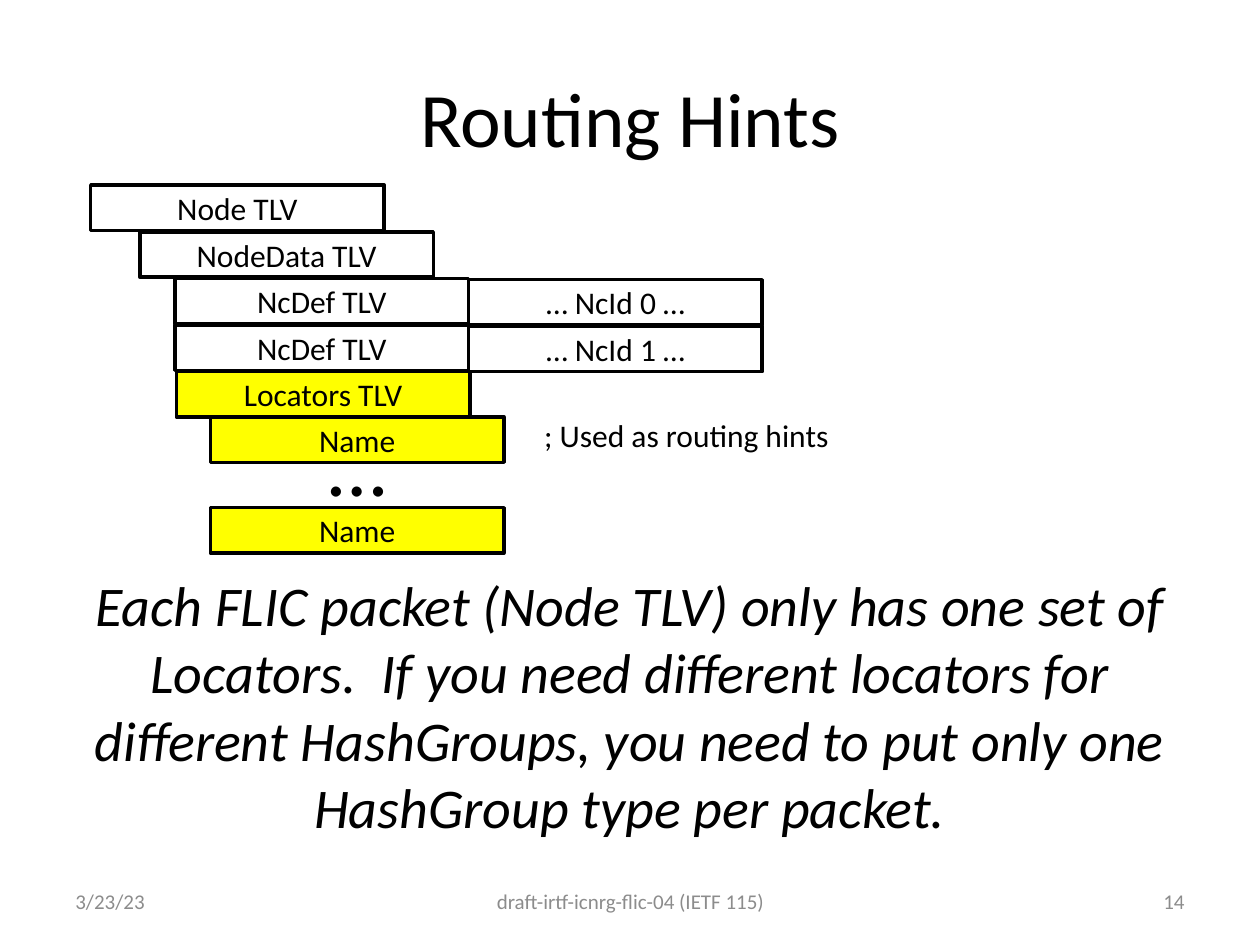
from pptx import Presentation
from pptx.dml.color import RGBColor
from pptx.enum.shapes import MSO_SHAPE
from pptx.enum.text import MSO_ANCHOR, MSO_AUTO_SIZE, PP_ALIGN
from pptx.util import Inches, Pt

RECT = MSO_SHAPE.RECTANGLE
LEFT, CENTER, RIGHT = PP_ALIGN.LEFT, PP_ALIGN.CENTER, PP_ALIGN.RIGHT
TOP, MIDDLE = MSO_ANCHOR.TOP, MSO_ANCHOR.MIDDLE
FIXED = MSO_AUTO_SIZE.NONE
COLORS = {"text": "000000", "footer": "8C8C8C", "plain": "FFFFFF", "mark": "FFFF00"}
TLV_W, TLV_H = 2.33, 0.36


def rgb(name):
    return RGBColor.from_string(COLORS[name])


def write(s, text, size, align=CENTER, anchor=MIDDLE, color="text", wrap=True, **font):
    tf = s.text_frame
    for name, value in {"auto_size": FIXED, "word_wrap": wrap, "vertical_anchor": anchor}.items():
        setattr(tf, name, value)
    p = tf.paragraphs[0]
    p.alignment = align
    r = p.add_run()
    r.text = text
    for name, value in {"name": "Calibri", "size": Pt(size), **font}.items():
        setattr(r.font, name, value)
    r.font.color.rgb = rgb(color)
    return p


def move(s, x, y, w, h):
    s.left, s.top, s.width, s.height = map(Inches, (x, y, w, h))


def add_text(slide, box, text, size, **options):
    s = slide.shapes.add_textbox(*map(Inches, box))
    write(s, text, size, **options)


def add_tlv(slide, x, y, text, fill):
    s = slide.shapes.add_shape(RECT, *map(Inches, (x, y, TLV_W, TLV_H)))
    s.shadow.inherit = False
    s.fill.solid()
    s.fill.fore_color.rgb = rgb(fill)
    s.line.color.rgb = rgb("text")
    s.line.width = Pt(2)
    write(s, text, 18)


def add_packet(slide, x, y):
    # Nested TLVs: indent, drop, label, fill
    nested = [
        (0, 0, "Node TLV", "plain"),
        (0.39, 0.37, "NodeData TLV", "plain"),
        (0.67, 0.74, "NcDef TLV", "plain"),
        (0.67 + TLV_W, 0.75, "… NcId 0 …", "plain"),
        (0.67, 1.11, "NcDef TLV", "plain"),
        (0.67 + TLV_W, 1.12, "… NcId 1 …", "plain"),
        (0.68, 1.48, "Locators TLV", "mark"),
        (0.95, 1.84, "Name", "mark"),
        (0.95, 2.56, "Name", "mark"),
    ]
    for dx, dy, text, fill in nested:
        add_tlv(slide, x + dx, y + dy, text, fill)
    # Remark and ellipsis between the names
    add_text(slide, (x + 3.5, y + 1.78, 2.49, 0.4), "; Used as routing hints", 18,
             align=LEFT, anchor=TOP, wrap=False)
    add_text(slide, (x + 1.68, y + 1.75, 0.87, 0.91), "…", 48)


def add_title(slide, box):
    move(slide.shapes.title, *box)
    write(slide.shapes.title, "Routing Hints", 44)


def add_statement(slide, box):
    body = slide.placeholders[1]
    move(body, *box)
    p = write(body, "Each FLIC packet (Node TLV) only has one set of Locators.  "
              "If you need different locators for different HashGroups, "
              "you need to put only one HashGroup type per packet.",
              32, anchor=TOP, italic=True)
    # Centred paragraph without bullet or hanging indent
    pPr = p._p.get_or_add_pPr()
    pPr.set("marL", "0")
    pPr.set("indent", "0")
    pPr.insert(0, pPr.makeelement(
        "{http://schemas.openxmlformats.org/drawingml/2006/main}buNone", {}))


def add_footer(slide, y, h):
    parts = [
        (0.5, 2.33, "3/23/23", LEFT),
        (3.42, 3.17, "draft-irtf-icnrg-flic-04 (IETF 115)", CENTER),
        (7.17, 2.33, "14", RIGHT),
    ]
    for x, w, text, align in parts:
        add_text(slide, (x, y, w, h), text, 12, align=align, color="footer")


prs = Presentation()
prs.slide_width, prs.slide_height = Inches(10), Inches(7.5)
slide = prs.slides.add_slide(prs.slide_layouts[1])
add_title(slide, (0.5, 0.3, 9, 1.25))
add_footer(slide, 6.95, 0.4)
add_packet(slide, 0.72, 1.47)
add_statement(slide, (0.5, 4.48, 9, 2.45))
prs.save("out.pptx")
